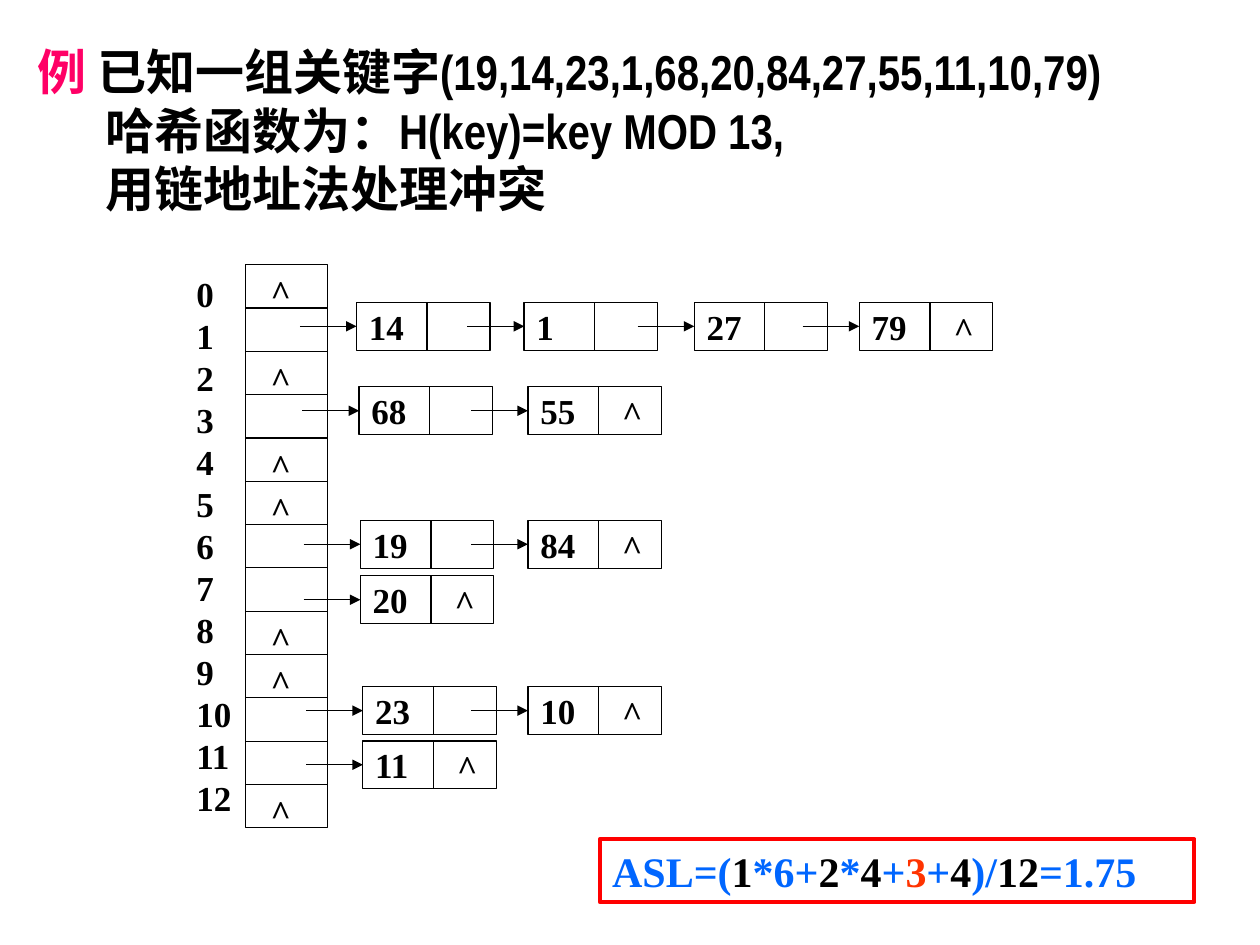
"""Build a slide on resolving hash collisions with chained addressing."""
from lxml.etree import SubElement
from pptx import Presentation
from pptx.dml.color import RGBColor
from pptx.enum.shapes import MSO_CONNECTOR, MSO_SHAPE
from pptx.enum.text import MSO_ANCHOR, PP_ALIGN
from pptx.oxml.ns import qn
from pptx.util import Inches, Pt

THEME = {
    "ink": "000000", "pink": "FF0066", "blue": "0066FF", "orange": "FF3300", "red": "FF0000",
    "title": {"name": "Arial Narrow", "size": Pt(28), "bold": True},
    "label": {"name": "Times New Roman", "size": Pt(20), "bold": True},
    "formula": {"name": "Times New Roman", "size": Pt(24), "bold": True},
    "leading": 1.2, "thin": 0.75, "thick": 2.25,
}
FRAME = {
    "margin_left": Inches(0.1), "margin_right": Inches(0.1),
    "margin_top": Inches(0.05), "margin_bottom": Inches(0.05),
}

QUESTION = [
    [("例", "pink"), (" 已知一组关键字(19,14,23,1,68,20,84,27,55,11,10,79)", "ink")],
    [("哈希函数为：H(key)=key MOD 13,", "ink")],
    [("用链地址法处理冲突", "ink")],
]
CHAINS = {
    1: (2.4, [("14", 2.83), ("1", 4.16), ("27", 5.51), ("79", 6.82)]),
    3: (3.07, [("68", 2.85), ("55", 4.19)]),
    6: (4.13, [("19", 2.86), ("84", 4.19)]),
    7: (4.57, [("20", 2.86)]),
    10: (5.45, [("23", 2.88), ("10", 4.19)]),
    11: (5.88, [("11", 2.88)]),
}
FORMULA = [[
    ("ASL=(", "blue"), ("1", "ink"), ("*6+", "blue"), ("2", "ink"), ("*", "blue"),
    ("4", "ink"), ("+", "blue"), ("3", "orange"), ("+", "blue"), ("4", "ink"),
    (")/", "blue"), ("12", "ink"), ("=1.75", "blue"),
]]
NULL = [[("^", "ink")]]

BUCKETS = 13
TABLE_LEFT, TABLE_TOP, TABLE_WIDTH, TABLE_HEIGHT = 1.95, 2.1, 0.65, 4.47
BUCKET_HEIGHT = TABLE_HEIGHT / BUCKETS
NODE_WIDTH, NODE_HEIGHT, KEY_WIDTH = 1.06, 0.38, 0.56
ARROW_LENGTH = 0.45
NULL_SIZE = (0.36, 0.44)
QUESTION_INDENT = 0.54


def apply(target, formats):
    for attribute, value in formats.items():
        setattr(target, attribute, value)


def color(name):
    return RGBColor.from_string(THEME[name])


def write(shape, lines, style, wrap=True, anchor=MSO_ANCHOR.TOP):
    frame = shape.text_frame
    apply(frame, {**FRAME, "word_wrap": wrap, "vertical_anchor": anchor})
    for number, line in enumerate(lines):
        paragraph = frame.paragraphs[0] if number == 0 else frame.add_paragraph()
        apply(paragraph, {
            "alignment": PP_ALIGN.LEFT,
            "line_spacing": Pt(THEME[style]["size"].pt * THEME["leading"]),
        })
        for words, ink in line:
            run = paragraph.add_run()
            run.text = words
            apply(run.font, THEME[style])
            run.font.color.rgb = color(ink)


def add_text(slide, place, lines, style, wrap=True):
    box = slide.shapes.add_textbox(*map(Inches, place))
    write(box, lines, style, wrap)
    return box


def add_box(slide, place, ink="ink", weight="thin"):
    box = slide.shapes.add_shape(MSO_SHAPE.RECTANGLE, *map(Inches, place))
    box.shadow.inherit = False
    box.fill.background()
    box.line.color.rgb = color(ink)
    box.line.width = Pt(THEME[weight])
    return box


def add_line(slide, *ends):
    line = slide.shapes.add_connector(MSO_CONNECTOR.STRAIGHT, *map(Inches, ends))
    line.line.color.rgb = color("ink")
    line.line.width = Pt(THEME["thin"])
    SubElement(line._element.spPr, qn("a:effectLst"))
    return line


def add_node(slide, key, left, top):
    node = add_box(slide, (left, top, NODE_WIDTH, NODE_HEIGHT))
    write(node, [[(key, "ink")]], "label", anchor=MSO_ANCHOR.MIDDLE)
    divider = left + KEY_WIDTH
    add_line(slide, divider, top, divider, top + NODE_HEIGHT)
    middle = top + NODE_HEIGHT / 2
    pointer = add_line(slide, left - ARROW_LENGTH, middle, left, middle)
    pointer.end_connect(node, 1)
    SubElement(pointer.line._get_or_add_ln(), qn("a:tailEnd"), type="triangle")


def add_hash_table(slide):
    add_box(slide, (TABLE_LEFT, TABLE_TOP, TABLE_WIDTH, TABLE_HEIGHT))
    for bucket in range(BUCKETS):
        top = TABLE_TOP + bucket * BUCKET_HEIGHT
        if bucket:
            add_line(slide, TABLE_LEFT, top, TABLE_LEFT + TABLE_WIDTH, top)
        if bucket not in CHAINS:
            add_text(slide, (TABLE_LEFT + 0.1, top, *NULL_SIZE), NULL, "label", wrap=False)
    indexes = [[(str(bucket), "ink")] for bucket in range(BUCKETS)]
    add_text(slide, (1.46, 2.11, 0.48, 4.44), indexes, "label", wrap=False)


def add_chains(slide):
    for top, nodes in CHAINS.values():
        for key, left in nodes:
            add_node(slide, key, left, top)
        last_left = nodes[-1][1]
        add_text(slide, (last_left + 0.65, top - 0.01, *NULL_SIZE), NULL, "label", wrap=False)


def main():
    deck = Presentation()
    apply(deck, {"slide_width": Inches(10), "slide_height": Inches(7.5)})
    slide = deck.slides.add_slide(deck.slide_layouts[6])
    question = add_text(slide, (0.2, 0.28, 9.6, 1.5), QUESTION, "title")
    for paragraph in question.text_frame.paragraphs[1:]:
        paragraph._p.get_or_add_pPr().set("marL", str(Inches(QUESTION_INDENT)))
    add_hash_table(slide)
    add_chains(slide)
    write(add_box(slide, (4.76, 6.66, 4.72, 0.5), "red", "thick"), FORMULA, "formula")
    deck.save("out.pptx")


if __name__ == "__main__":
    main()
